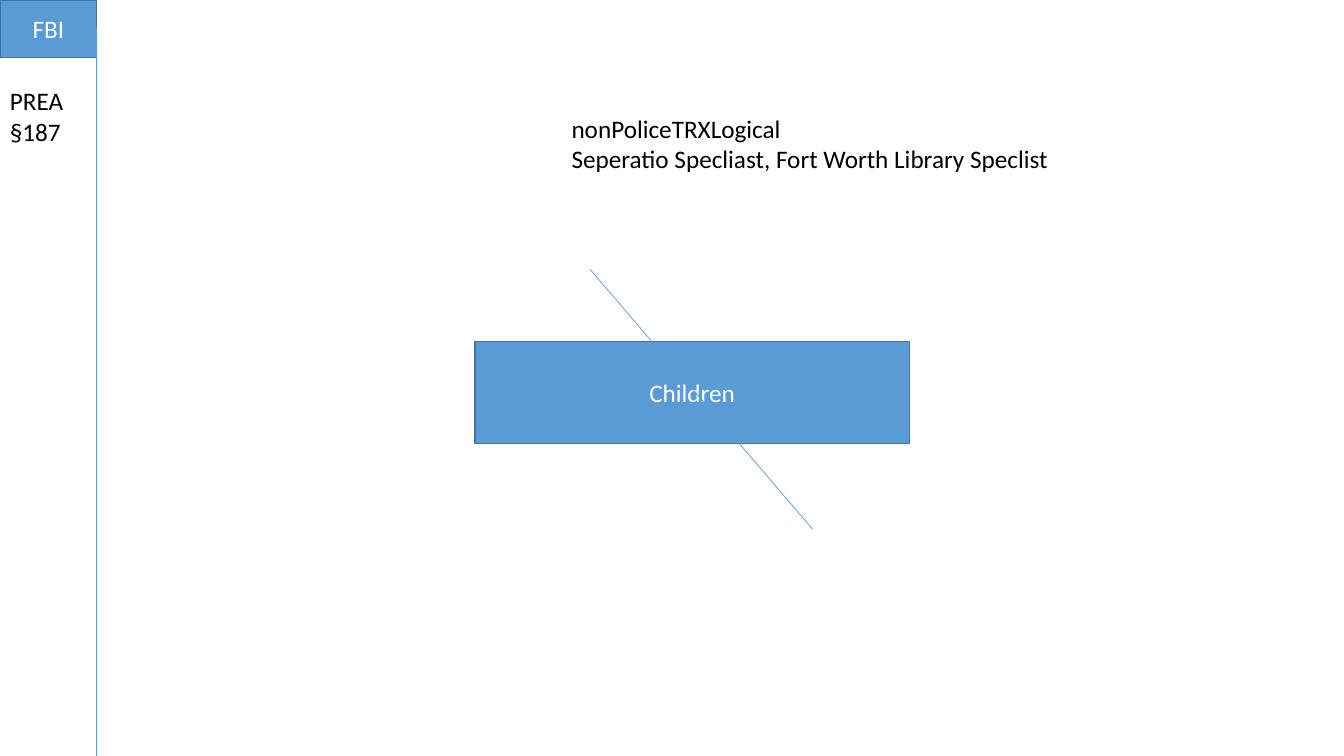
"""Build the slide with the FBI side column and the Children box."""
from dataclasses import dataclass

from lxml import etree
from pptx import Presentation
from pptx.dml.color import RGBColor
from pptx.enum.shapes import MSO_CONNECTOR, MSO_SHAPE
from pptx.enum.text import MSO_ANCHOR, PP_ALIGN
from pptx.oxml.ns import qn
from pptx.shapes.base import BaseShape
from pptx.slide import Slide
from pptx.util import Emu, Pt

EMU_PER_PX = 9144
SLIDE_WIDTH, SLIDE_HEIGHT = 1333, 750
BLANK_LAYOUT = 6
FONT_NAME = "Calibri"
FONT_SIZE = Pt(18)
BLUE = RGBColor(0x5B, 0x9B, 0xD5)
DARK_BLUE = RGBColor(0x43, 0x73, 0x9E)
BLACK = RGBColor(0x00, 0x00, 0x00)
WHITE = RGBColor(0xFF, 0xFF, 0xFF)
RECTANGLE = MSO_SHAPE.RECTANGLE
STRAIGHT = MSO_CONNECTOR.STRAIGHT
MIDDLE = MSO_ANCHOR.MIDDLE
TOP = MSO_ANCHOR.TOP
CENTER = PP_ALIGN.CENTER
LEFT = PP_ALIGN.LEFT


@dataclass(frozen=True)
class Block:
    left: int
    top: int
    width: int
    height: int
    text: str


@dataclass(frozen=True)
class Line:
    start_x: int
    start_y: int
    end_x: int
    end_y: int


AGENCY_BOX = Block(0, 0, 96, 57, "FBI")
COLUMN_LINE = Line(96, 750, 96, 28)
CODE_NOTE = Block(0, 80, 73, 101, "PREA\n§187")
CHILDREN_BOX = Block(471, 339, 431, 101, "Children")
ROLE_NOTE = Block(
    557, 107, 498, 71,
    "nonPoliceTRXLogical\nSeperatio Specliast, Fort Worth Library Speclist",
)
DIAGONAL_LINE = Line(585, 267, 806, 525)


def px(length: int) -> Emu:
    return Emu(length * EMU_PER_PX)


def write_text(shape: BaseShape, text: str, color: RGBColor, alignment: PP_ALIGN) -> None:
    text_frame = shape.text_frame
    text_frame.text = text
    for paragraph in text_frame.paragraphs:
        paragraph.alignment = alignment
        for run in paragraph.runs:
            run.font.name = FONT_NAME
            run.font.size = FONT_SIZE
            run.font.color.rgb = color


def draw_box(slide: Slide, block: Block) -> None:
    shape = slide.shapes.add_shape(
        RECTANGLE, px(block.left), px(block.top), px(block.width), px(block.height)
    )
    shape.shadow.inherit = False
    shape.fill.solid()
    shape.fill.fore_color.rgb = BLUE
    shape.line.color.rgb = DARK_BLUE
    shape.line.width = Pt(1)
    shape.text_frame.vertical_anchor = MIDDLE
    write_text(shape, block.text, WHITE, CENTER)


def draw_note(slide: Slide, block: Block) -> None:
    shape = slide.shapes.add_textbox(
        px(block.left), px(block.top), px(block.width), px(block.height)
    )
    shape.text_frame.word_wrap = False
    shape.text_frame.vertical_anchor = TOP
    write_text(shape, block.text, BLACK, LEFT)


def draw_line(slide: Slide, line: Line) -> None:
    connector = slide.shapes.add_connector(
        STRAIGHT, px(line.start_x), px(line.start_y), px(line.end_x), px(line.end_y)
    )
    connector.line.color.rgb = BLUE
    connector.line.width = Pt(0.5)
    etree.SubElement(connector._element.spPr, qn("a:effectLst"))


def main() -> None:
    presentation = Presentation()
    presentation.slide_width = px(SLIDE_WIDTH)
    presentation.slide_height = px(SLIDE_HEIGHT)
    slide = presentation.slides.add_slide(presentation.slide_layouts[BLANK_LAYOUT])
    draw_box(slide, AGENCY_BOX)
    draw_line(slide, COLUMN_LINE)
    draw_note(slide, CODE_NOTE)
    draw_box(slide, CHILDREN_BOX)
    draw_note(slide, ROLE_NOTE)
    draw_line(slide, DIAGONAL_LINE)
    presentation.save("out.pptx")


if __name__ == "__main__":
    main()
